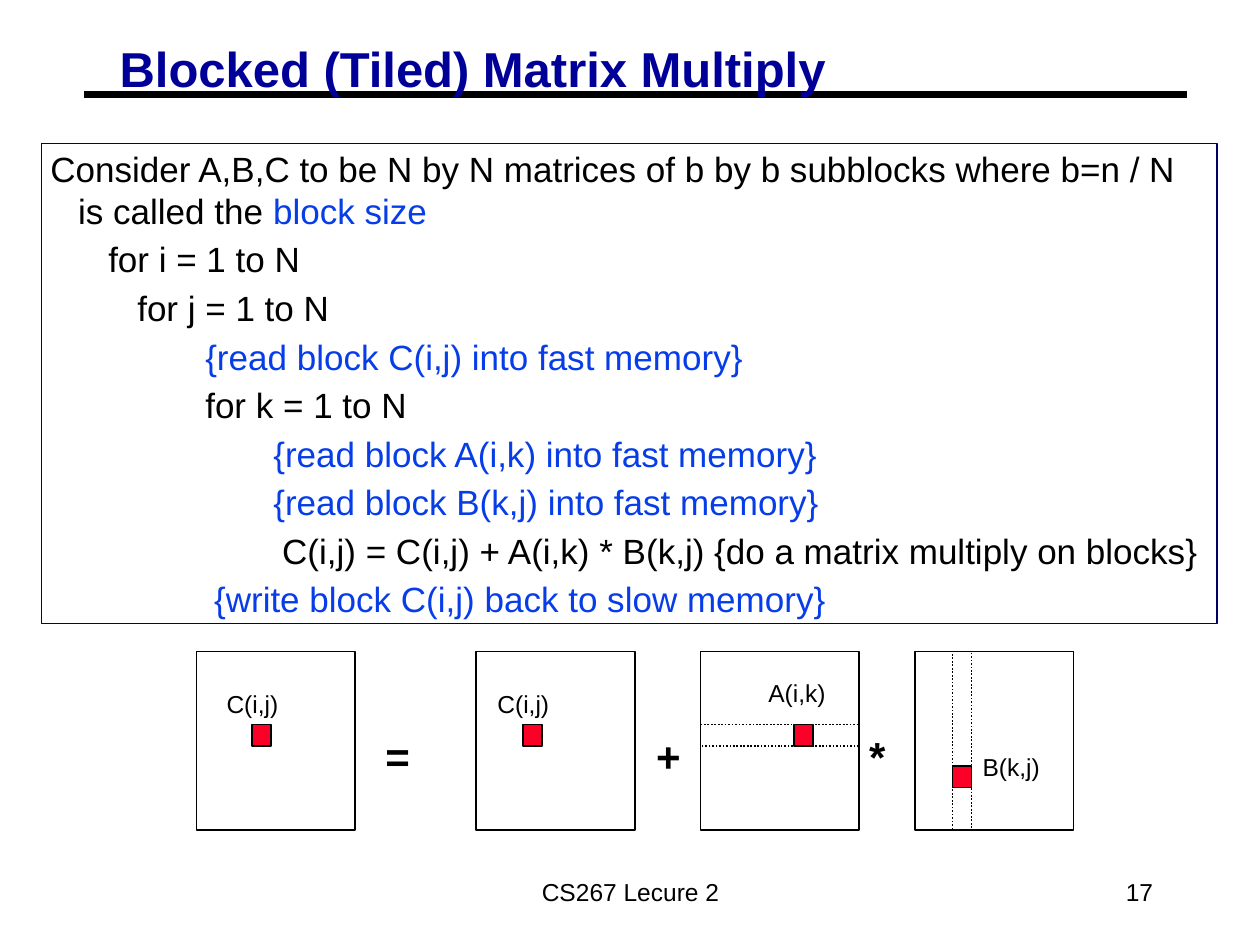
from dataclasses import dataclass
from lxml import etree
from pptx import Presentation
from pptx.dml.color import RGBColor
from pptx.enum.dml import MSO_LINE
from pptx.enum.shapes import MSO_CONNECTOR, MSO_SHAPE
from pptx.enum.text import MSO_ANCHOR, PP_ALIGN
from pptx.oxml.ns import qn
from pptx.util import Inches, Pt

RECT = MSO_SHAPE.RECTANGLE
STRAIGHT = MSO_CONNECTOR.STRAIGHT
DOTS = MSO_LINE.ROUND_DOT
TOP, MIDDLE = MSO_ANCHOR.TOP, MSO_ANCHOR.MIDDLE
LEFT, CENTER, RIGHT = PP_ALIGN.LEFT, PP_ALIGN.CENTER, PP_ALIGN.RIGHT


@dataclass(frozen=True)
class Theme:
    font: str = "Arial"
    black: str = "000000"
    title: str = "000099"
    frame: str = "000066"
    blue: str = "063DE8"
    red: str = "FC0128"
    title_size: float = 28
    body_size: float = 20
    sign_size: float = 24
    label_size: float = 14


@dataclass(frozen=True)
class Row:
    """One line of the algorithm: runs of (text, colour) and a left margin."""
    runs: tuple
    margin: float
    hang: float = 0


@dataclass(frozen=True)
class Matrix:
    """A block matrix; cell and label are offsets from its top left corner."""
    left: float
    cell: tuple
    label: str
    spot: tuple
    band: str = ""


@dataclass(frozen=True)
class Sign:
    text: str
    left: float
    width: float


THEME = Theme()
TOP_Y, SIDE_W, SIDE_H = 5.17, 1.26, 1.42
CELL_W, CELL_H = 0.15, 0.17

ROWS = (
    Row((("Consider A,B,C to be N by N matrices of b by b subblocks "
          "where b=n / N is called the ", THEME.black),
         ("block size", THEME.blue)), 0.22, -0.22),
    Row((("for i = 1 to N", THEME.black),), 0.46),
    Row((("for j = 1 to N", THEME.black),), 0.69),
    Row((("{read block C(i,j) into fast memory}", THEME.blue),), 1.23),
    Row((("for k = 1 to N", THEME.black),), 1.23),
    Row((("{read block A(i,k) into fast memory}", THEME.blue),), 1.77),
    Row((("{read block B(k,j) into fast memory}", THEME.blue),), 1.77),
    Row((("C(i,j) = C(i,j) + A(i,k) * B(k,j) "
          "{do a matrix multiply on blocks}", THEME.black),), 1.84),
    Row((("{write block C(i,j) back to slow memory}", THEME.blue),), 1.3),
)
MATRICES = (
    Matrix(1.56, (0.44, 0.58), "C(i,j)", (0.14, 0.25)),
    Matrix(3.78, (0.37, 0.58), "C(i,j)", (0.07, 0.25)),
    Matrix(5.56, (0.74, 0.58), "A(i,k)", (0.44, 0.16), "row"),
    Matrix(7.26, (0.3, 0.91), "B(k,j)", (0.44, 0.75), "column"),
)
SIGNS = (Sign("=", 2.96, 0.59), Sign("+", 5.11, 0.4), Sign("*", 6.8, 0.4))


def paint(font, size: float, color: str, bold: bool = False) -> None:
    font.name, font.size, font.bold = THEME.font, Pt(size), bold
    font.color.rgb = RGBColor.from_string(color)


def set_frame(frame, inset: tuple, anchor=TOP) -> None:
    frame.word_wrap = True
    frame.vertical_anchor = anchor
    frame.margin_left = frame.margin_right = Inches(inset[0])
    frame.margin_top = frame.margin_bottom = Inches(inset[1])


def add_text(slide, text: str, box: tuple, *, size: float,
             color: str = THEME.black, bold: bool = False, align=LEFT,
             anchor=TOP, inset: tuple = (0.1, 0.05), spacing=None) -> None:
    frame = slide.shapes.add_textbox(*map(Inches, box)).text_frame
    set_frame(frame, inset, anchor)
    para = frame.paragraphs[0]
    para.alignment, para.line_spacing = align, spacing
    run = para.add_run()
    run.text = text
    paint(run.font, size, color, bold)


def add_rect(slide, box: tuple, *, fill=None, line: str = THEME.black,
             width: float = 1, dash=None):
    shape = slide.shapes.add_shape(RECT, *map(Inches, box))
    shape.shadow.inherit = False
    if fill:
        shape.fill.solid()
        shape.fill.fore_color.rgb = RGBColor.from_string(fill)
    else:
        shape.fill.background()
    shape.line.color.rgb = RGBColor.from_string(line)
    shape.line.width = Pt(width)
    if dash:
        shape.line.dash_style = dash
    return shape


def add_rule(slide) -> None:
    """Draw the heavy line under the title."""
    rule = slide.shapes.add_connector(
        STRAIGHT, *map(Inches, (0.67, 0.75, 9.42, 0.75)))
    rule.line.color.rgb = RGBColor.from_string(THEME.black)
    rule.line.width = Pt(3.75)
    etree.SubElement(rule._element.spPr, qn("a:effectLst"))


def add_code(slide, rows: tuple) -> None:
    """Draw the framed algorithm, one paragraph a row."""
    shape = add_rect(slide, (0.33, 1.14, 9.33, 3.81),
                     line=THEME.frame, width=0.75)
    frame = shape.text_frame
    set_frame(frame, (0.07, 0.03))
    for num, row in enumerate(rows):
        para = frame.add_paragraph() if num else frame.paragraphs[0]
        para.alignment = LEFT
        para.space_before = Pt(3.7 if num else 0)
        props = para._p.get_or_add_pPr()
        props.set("marL", str(Inches(row.margin)))
        props.set("indent", str(Inches(row.hang)))
        for text, color in row.runs:
            run = para.add_run()
            run.text = text
            paint(run.font, THEME.body_size, color)


def add_matrix(slide, item: Matrix) -> None:
    add_rect(slide, (item.left, TOP_Y, SIDE_W, SIDE_H))
    cell_x, cell_y = item.left + item.cell[0], TOP_Y + item.cell[1]
    if item.band == "row":
        add_rect(slide, (item.left, cell_y, SIDE_W, CELL_H), dash=DOTS)
    elif item.band == "column":
        add_rect(slide, (cell_x, TOP_Y, CELL_W, SIDE_H), dash=DOTS)
    add_rect(slide, (cell_x, cell_y, CELL_W, CELL_H), fill=THEME.red)
    add_text(slide, item.label, (item.left + item.spot[0],
             TOP_Y + item.spot[1], 0.74, 0.34), size=THEME.label_size)


def main() -> None:
    deck = Presentation()
    deck.slide_width, deck.slide_height = Inches(10), Inches(7.5)
    slide = deck.slides.add_slide(deck.slide_layouts[6])
    add_rule(slide)
    add_text(slide, "Blocked (Tiled) Matrix Multiply",
             (0.88, 0.34, 5.9, 0.46), size=THEME.title_size,
             color=THEME.title, bold=True, inset=(0.07, 0.03), spacing=0.87)
    add_code(slide, ROWS)
    for item in MATRICES:
        add_matrix(slide, item)
    for sign in SIGNS:
        add_text(slide, sign.text, (sign.left, 5.75, sign.width, 0.5),
                 size=THEME.sign_size, bold=True)
    add_text(slide, "CS267 Lecure 2", (3.42, 6.83, 3.17, 0.5),
             size=THEME.label_size, align=CENTER, anchor=MIDDLE)
    add_text(slide, "17", (7.17, 6.83, 2.08, 0.5),
             size=THEME.label_size, align=RIGHT, anchor=MIDDLE)
    deck.save("out.pptx")


if __name__ == "__main__":
    main()
